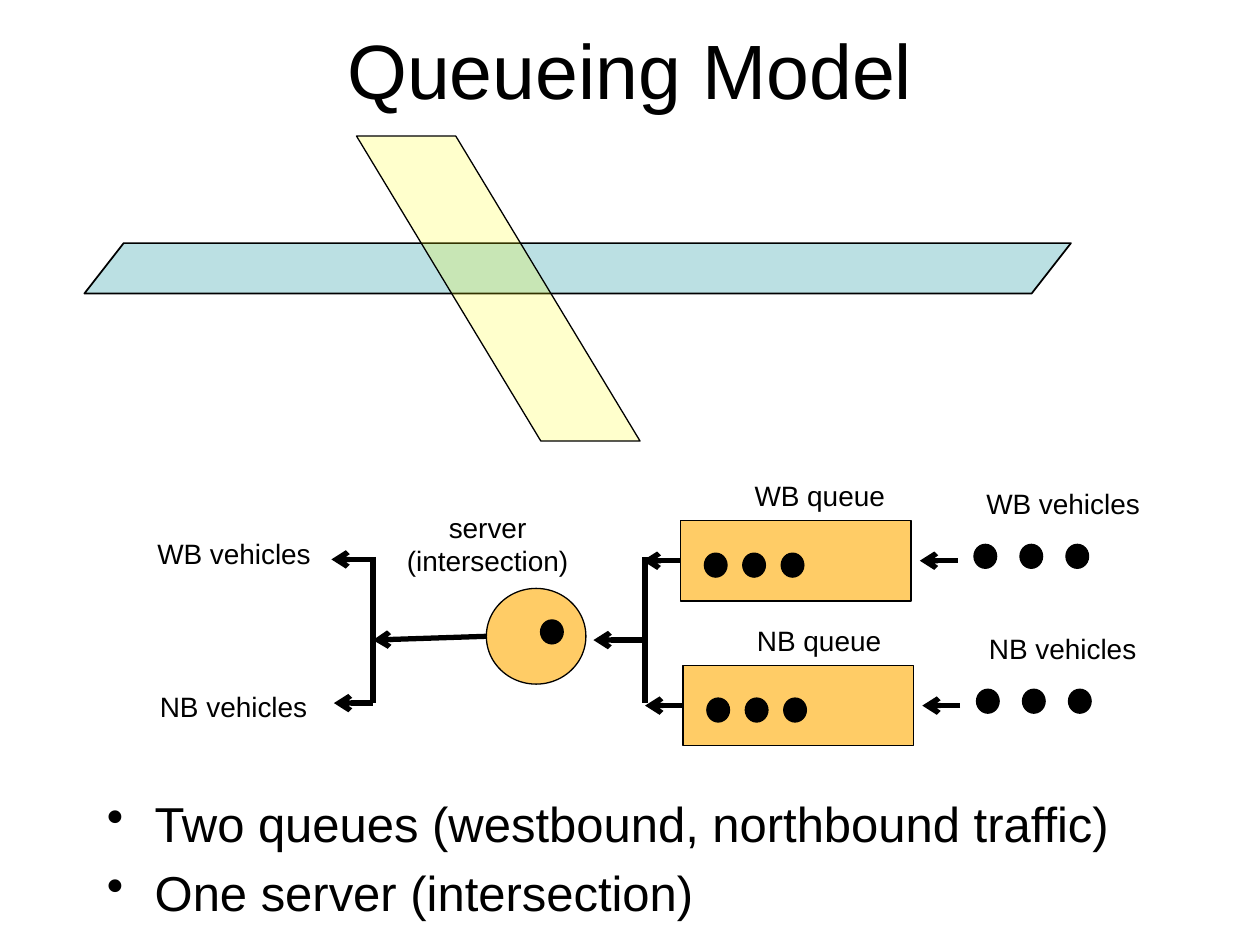
from lxml.etree import SubElement
from pptx import Presentation
from pptx.dml.color import RGBColor
from pptx.enum.shapes import MSO_CONNECTOR as Connector, MSO_SHAPE as Shape
from pptx.enum.text import MSO_ANCHOR as Anchor, MSO_AUTO_SIZE as AutoSize, PP_ALIGN as Align
from pptx.oxml.ns import qn
from pptx.util import Inches, Pt

BLACK = RGBColor(0x00, 0x00, 0x00)
ORANGE = RGBColor(0xFF, 0xCC, 0x66)
YELLOW = RGBColor(0xFF, 0xFF, 0x00)
TEAL = RGBColor(0xBB, 0xE0, 0xE3)

COLUMNS, ROWS = 10, 7.5
LANE_COLUMN, LANE_ROW = 0.02, 1.15
DOT_WIDTH, DOT_HEIGHT = 0.18, 0.19


class QueueingSlide:
    """Style and drawing methods for one slide on a grid of columns and rows."""

    font_name = "Arial"
    label_size = 16

    def __init__(self, presentation):
        self.slide = presentation.slides.add_slide(presentation.slide_layouts[6])
        self.shapes = self.slide.shapes
        self.column = presentation.slide_width / COLUMNS
        self.row = presentation.slide_height / ROWS

    def start_group(self):
        self.shapes = self.slide.shapes.add_group_shape().shapes

    def place(self, *lengths):
        units = (self.column, self.row, self.column, self.row)
        return [round(length * unit) for length, unit in zip(lengths, units)]

    def text(self, box, lines, size, align=Align.LEFT, anchor=Anchor.TOP, wrap=True, bullet=None):
        shape = self.shapes.add_textbox(*self.place(*box))
        frame = shape.text_frame
        frame.word_wrap = wrap
        frame.auto_size = AutoSize.NONE if wrap else AutoSize.SHAPE_TO_FIT_TEXT
        frame.vertical_anchor = anchor
        for index, line in enumerate(lines):
            paragraph = frame.add_paragraph() if index else frame.paragraphs[0]
            paragraph.alignment = align
            if bullet:
                self.bullet(paragraph, bullet)
                paragraph.space_before = Pt(0.2 * size if index else 0)
            run = paragraph.add_run()
            run.text = line
            run.font.name = self.font_name
            run.font.size = Pt(size)
            run.font.color.rgb = BLACK

    def bullet(self, paragraph, character):
        properties = paragraph._p.get_or_add_pPr()
        indent = Inches(0.38)
        properties.set("marL", str(indent))
        properties.set("indent", str(-indent))
        SubElement(properties, qn("a:buChar")).set("char", character)

    def label(self, box, *lines, align=Align.LEFT):
        self.text(box, lines, self.label_size, align, wrap=False)

    def shape(self, kind, box, color, line_width=0.75):
        shape = self.shapes.add_shape(kind, *self.place(*box))
        shape.shadow.inherit = False
        shape.fill.solid()
        shape.fill.fore_color.rgb = color
        shape.line.color.rgb = BLACK
        shape.line.width = Pt(line_width)
        return shape

    def road(self, box, slant, color, line_width, flip=False, opacity=100):
        shape = self.shape(Shape.PARALLELOGRAM, box, color, line_width)
        shape.adjustments[0] = slant
        properties = shape._element.spPr
        if flip:
            properties.find(qn("a:xfrm")).set("flipH", "1")
        if opacity < 100:
            fill_color = properties.find(qn("a:solidFill"))[0]
            SubElement(fill_color, qn("a:alpha")).set("val", str(opacity * 1000))

    def dots(self, left, top, count=1, step=0):
        for index in range(count):
            self.shape(Shape.OVAL, (left + index * step, top, DOT_WIDTH, DOT_HEIGHT), BLACK)

    def line(self, start, end, arrow=True):
        connector = self.shapes.add_connector(Connector.STRAIGHT, *self.place(*start, *end))
        connector.line.color.rgb = BLACK
        connector.line.width = Pt(3)
        properties = connector._element.spPr
        if arrow:
            SubElement(properties.find(qn("a:ln")), qn("a:tailEnd")).set("type", "arrow")
        SubElement(properties, qn("a:effectLst"))

    def lane(self, name, index, vehicles_width, queue_width):
        x, y = index * LANE_COLUMN, index * LANE_ROW
        arrow_row = 4.45 + y
        self.shape(Shape.RECTANGLE, (5.4 + x, 4.13 + y, 1.83, 0.64), ORANGE)
        self.dots(5.59 + x, 4.39 + y, 3, 0.305)
        self.dots(7.73 + x, 4.32 + y, 3, 0.365)
        for start in (5.4 + x, 7.6 + x):
            self.line((start, arrow_row), (start - 0.3, arrow_row))
        self.label((5.89 + x, 3.75 + y, queue_width, 0.37), f"{name} queue")
        self.label((7.73 + x, 3.81 + y, vehicles_width, 0.37), f"{name} vehicles")
        self.label((1.15 + x, 4.21 + index * 1.21, vehicles_width, 0.37), f"{name} vehicles")

    def server(self):
        self.shape(Shape.OVAL, (3.86, 4.67, 0.79, 0.76), ORANGE)
        self.dots(4.29, 4.92)
        self.label((3.12, 4, 1.5, 0.64), "server", "(intersection)", align=Align.CENTER)
        self.line((3.86, 5.05), (2.96, 5.08))
        self.line((5.12, 5.08), (4.71, 5.08))
        for column in (2.96, 5.12):
            self.line((column, 4.42), (column, 5.58), arrow=False)
        self.line((2.94, 4.44), (2.63, 4.44))
        self.line((2.96, 5.58), (2.65, 5.58))


def main():
    presentation = Presentation()
    presentation.slide_width, presentation.slide_height = Inches(10), Inches(7.5)
    slide = QueueingSlide(presentation)
    slide.text((0.75, -0.08, 8.5, 1.25), ["Queueing Model"], 44, Align.CENTER, Anchor.MIDDLE)
    slide.text(
        (0.75, 6.25, 8.5, 1.25),
        ["Two queues (westbound, northbound traffic)", "One server (intersection)"],
        28,
        bullet="•",
    )
    slide.start_group()
    slide.road((0.67, 1.93, 7.83, 0.4), 0.78, TEAL, 1)
    slide.road((2.83, 1.08, 2.25, 2.42), 0.65, YELLOW, 0.75, flip=True, opacity=20)
    slide.start_group()
    slide.server()
    slide.lane("WB", 0, 1.44, 1.25)
    slide.lane("NB", 1, 1.39, 1.2)
    presentation.save("out.pptx")


if __name__ == "__main__":
    main()
